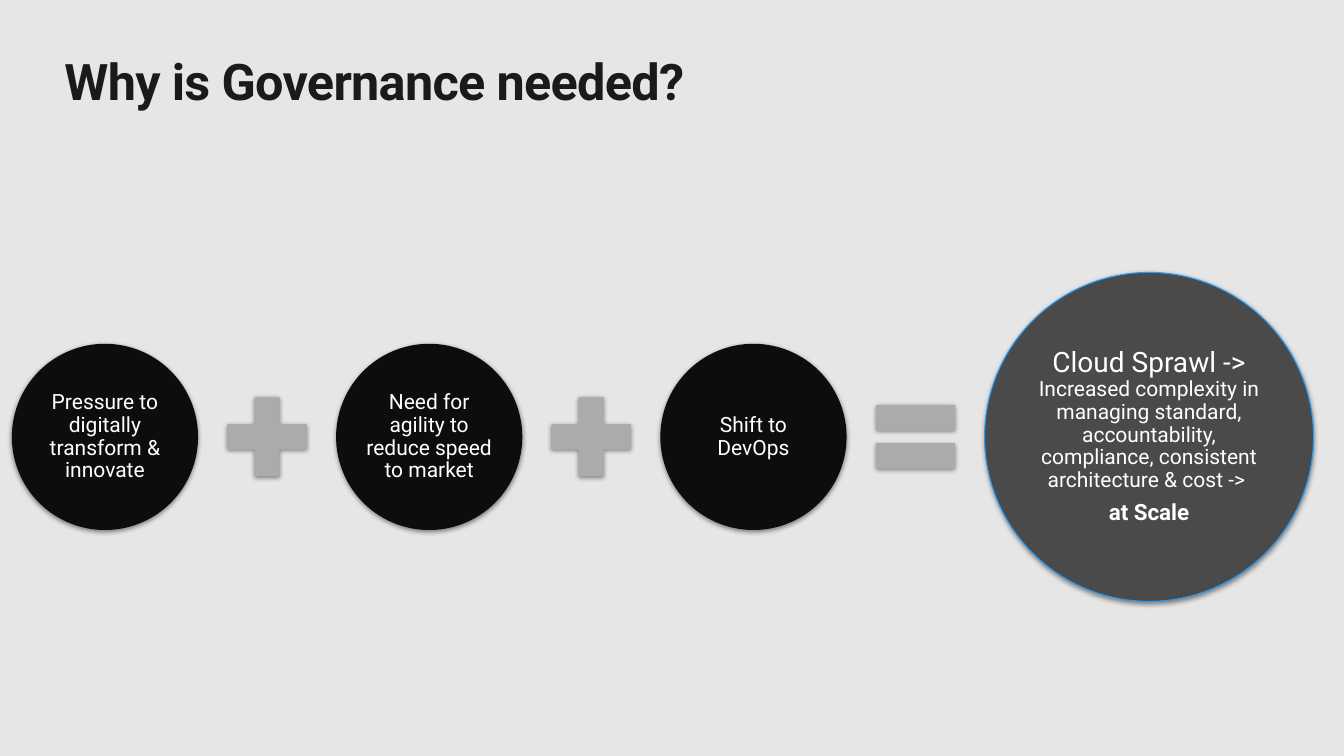
"""Build the slide that sums up why governance is needed."""
from lxml.etree import SubElement
from pptx import Presentation
from pptx.dml.color import RGBColor
from pptx.enum.shapes import MSO_SHAPE as Shape
from pptx.enum.text import MSO_ANCHOR as Anchor, PP_ALIGN as Align
from pptx.oxml.ns import qn
from pptx.util import Pt

BACKGROUND = RGBColor(0xE6, 0xE6, 0xE6)
INK = RGBColor(0x1A, 0x1A, 0x1A)
BLACK = RGBColor(0x0D, 0x0D, 0x0D)
GREY = RGBColor(0xAB, 0xAB, 0xAB)
DARK_GREY = RGBColor(0x4A, 0x4A, 0x4A)
BLUE = RGBColor(0x20, 0x9E, 0xFF)
WHITE = RGBColor(0xFF, 0xFF, 0xFF)

MIDDLE = 312.1
LEFT = 8.5
CAUSE_SIZE, SIGN_SIZE, RESULT_SIZE = 133, 77, 235
GAP = 10.8


def add_run(paragraph, text, size, color, bold=False):
    run = paragraph.add_run()
    run.text = text
    run.font.color.rgb = color
    for name, value in {"name": "Roboto", "size": Pt(size), "bold": bold}.items():
        setattr(run.font, name, value)
    return run


def add_part(kind, left, size, color, paragraphs=(), inset=1.5):
    part = slide.shapes.add_shape(kind, Pt(left), Pt(MIDDLE - size / 2), Pt(size), Pt(size))
    part.fill.solid()
    part.fill.fore_color.rgb = color
    part.line.fill.background()
    part.shadow.inherit = False
    effects = part._element.spPr.find(qn("a:effectLst"))
    shadow = SubElement(effects, qn("a:outerShdw"), blurRad=str(Pt(3.5)),
                        dist=str(Pt(1.1)), dir="5400000", rotWithShape="0")
    shade = SubElement(shadow, qn("a:srgbClr"), val="000000")
    SubElement(shade, qn("a:alpha"), val="45000")
    frame = part.text_frame
    frame_format = {"word_wrap": True, "vertical_anchor": Anchor.MIDDLE}
    frame_format |= {f"margin_{side}": Pt(inset) for side in ("left", "top", "right", "bottom")}
    for name, value in frame_format.items():
        setattr(frame, name, value)
    for index, runs in enumerate(paragraphs):
        paragraph = frame.add_paragraph() if index else frame.paragraphs[0]
        paragraph_format = {"alignment": Align.CENTER, "line_spacing": 0.9,
                            "space_before": Pt(6.5 if index else 0)}
        for name, value in paragraph_format.items():
            setattr(paragraph, name, value)
        for text, text_size, bold in runs:
            add_run(paragraph, text, text_size, WHITE, bold)
    return part


deck = Presentation()
deck.slide_width, deck.slide_height = Pt(960), Pt(540)
slide = deck.slides.add_slide(deck.slide_layouts[6])
slide.background.fill.solid()
slide.background.fill.fore_color.rgb = BACKGROUND

title = slide.shapes.add_textbox(Pt(46), Pt(36), Pt(868), Pt(44)).text_frame
title_format = {"word_wrap": True, "margin_left": 0, "margin_top": 0,
                "margin_right": 0, "margin_bottom": 0}
for name, value in title_format.items():
    setattr(title, name, value)
heading = add_run(title.paragraphs[0], "Why is Governance needed?", 36, INK, True)
heading._r.get_or_add_rPr().set("spc", "-50")

causes = [
    ("Pressure to digitally transform & innovate", Shape.MATH_PLUS),
    ("Need for agility to reduce speed to market", Shape.MATH_PLUS),
    ("Shift to DevOps", Shape.MATH_EQUAL),
]
left = LEFT
for cause, sign in causes:
    add_part(Shape.OVAL, left, CAUSE_SIZE, BLACK, [[(cause, 15, False)]])
    left += CAUSE_SIZE + GAP
    add_part(sign, left, SIGN_SIZE, GREY)
    left += SIGN_SIZE + GAP

outcome = [
    [("Cloud Sprawl -> ", 20, False),
     ("Increased complexity in managing standard, accountability, compliance, "
      "consistent architecture & cost -> ", 15, False)],
    [("at Scale", 16, True)],
]
result = add_part(Shape.OVAL, left, RESULT_SIZE, DARK_GREY, outcome, inset=2)
result.line.color.rgb = BLUE
result.line.width = Pt(0.75)

deck.save("out.pptx")
